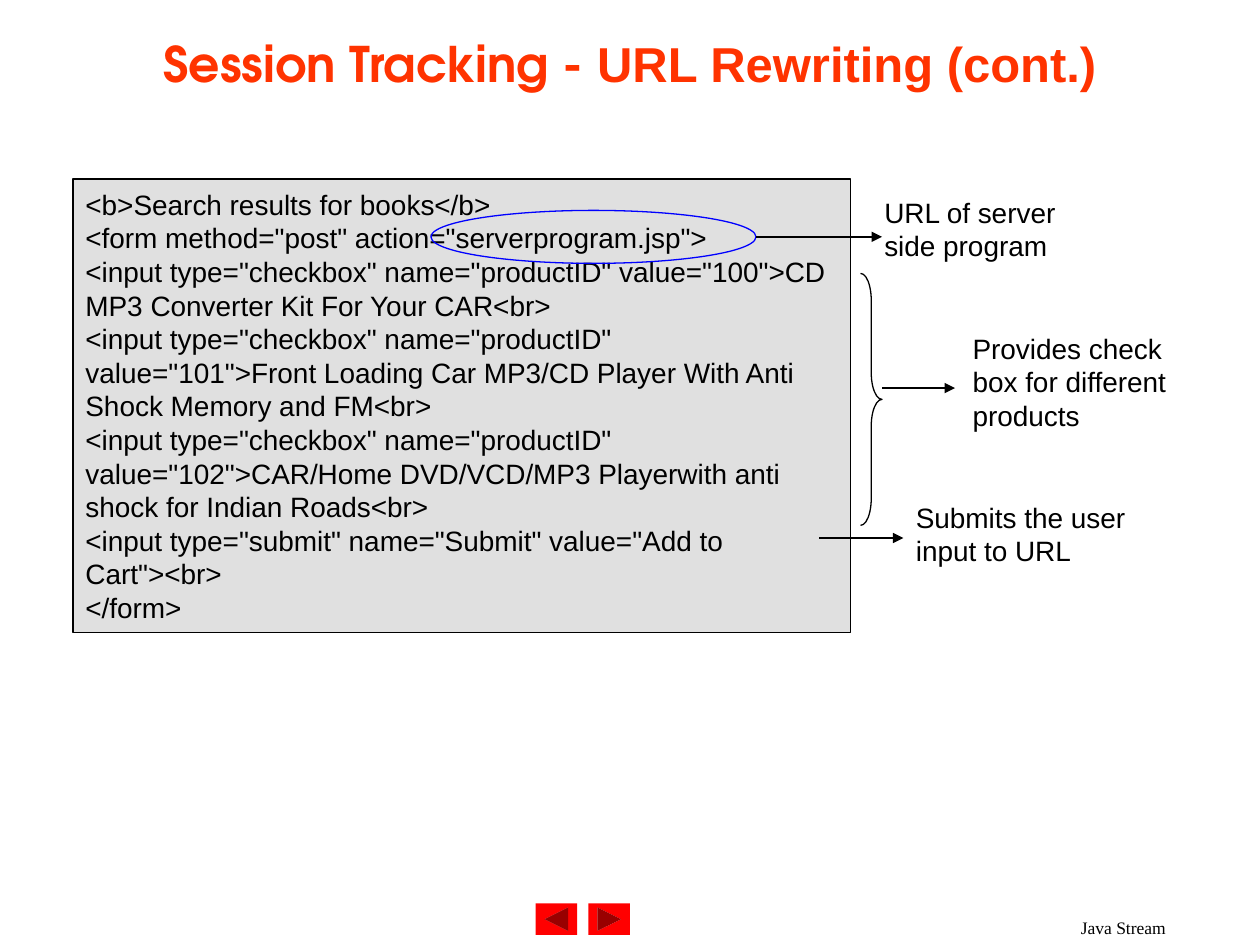
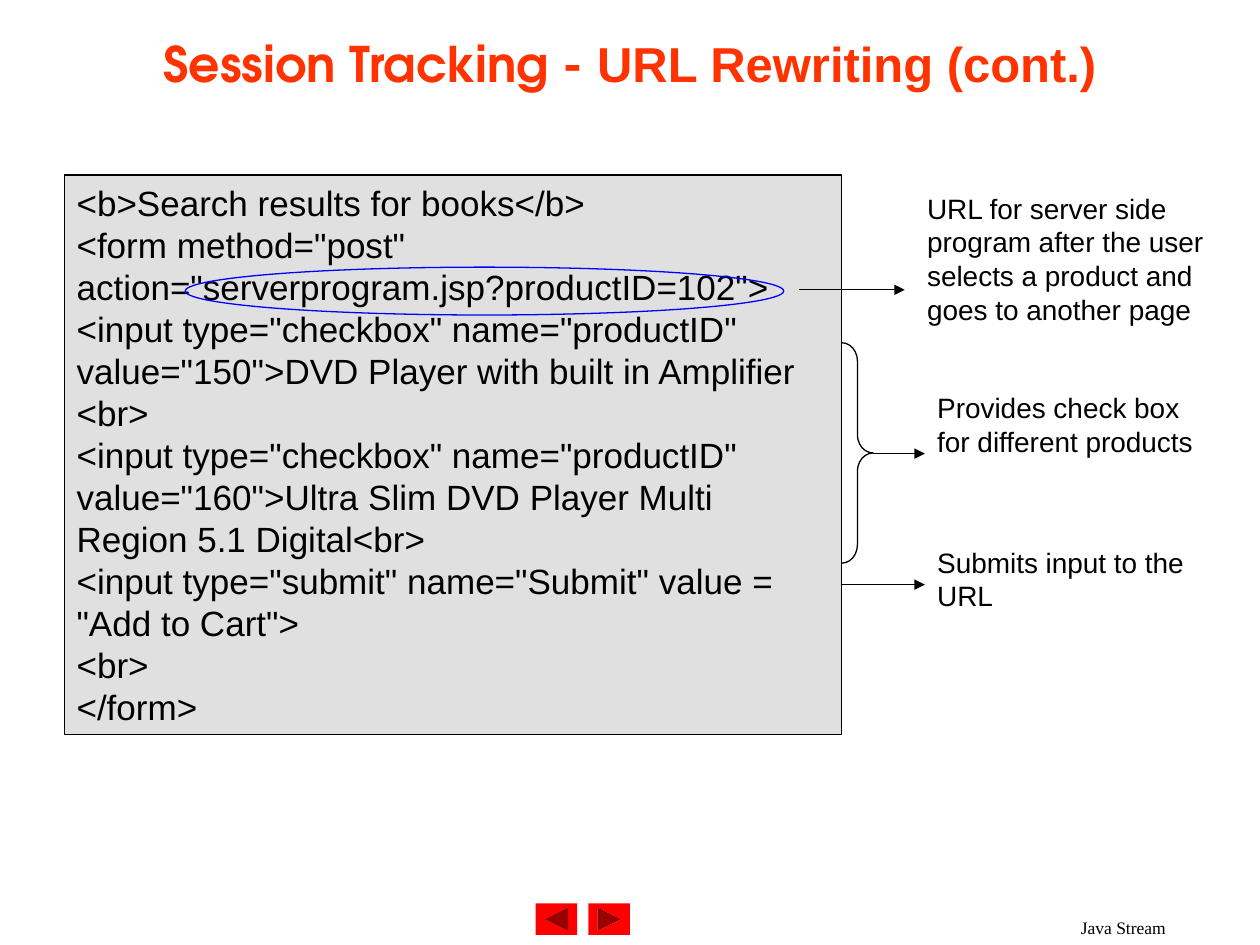
import pptx
import pptx.dml.color
import pptx.enum.shapes
import pptx.enum.text
import pptx.oxml
import pptx.oxml.ns
import pptx.util

Inches = pptx.util.Inches
SHAPES = pptx.enum.shapes.MSO_SHAPE
ALIGN = pptx.enum.text.PP_ALIGN
ANCHOR = pptx.enum.text.MSO_ANCHOR

BLACK, RED, BLUE, GREY, ORANGE = "000000", "FF0000", "0000FF", "E0E0E0", "FF3300"
LINE_WIDTH = 0.75

TITLE = [("Session Tracking - ", "TeX Gyre Adventor"), ("URL Rewriting (cont.)", "Arial")]
TITLE_BOX = (0.5, 0, 9, 1)
FOOTER = "Java Stream"
FOOTER_BOX = (7.83, 7.23, 2.17, 0.27)
BUTTON_LEFT, BUTTON_TOP, BUTTON_STEP = 4.25, 7.17, 0.42
BUTTON_SIZE = (0.33, 0.25)
BUTTON_ROTATIONS = (180, 0)

SLIDES = [
    {
        "code": [
            '<b>Search results for books</b>',
            '<form method="post" action="serverprogram.jsp">',
            '<input type="checkbox" name="productID" value="100">CD MP3 Converter Kit For Your CAR<br>',
            '<input type="checkbox" name="productID" value="101">'
            'Front Loading Car MP3/CD Player With Anti Shock Memory and FM<br>',
            '<input type="checkbox" name="productID" value="102">'
            'CAR/Home DVD/VCD/MP3 Playerwith anti shock for Indian Roads<br>',
            '<input type="submit" name="Submit" value="Add to Cart"><br>',
            '</form>',
        ],
        "code_size": 16,
        "code_box": (0.58, 1.42, 6.17, 3.6),
        "url_ellipse": (3.42, 1.67, 2.58, 0.42),
        "brace": (6.83, 2.17, 0.17, 2),
        "brace_curve": 1.25,
        "arrows": [(6, 7, 1.88), (7, 7.58, 3.08), (6.5, 7.17, 4.27)],  # from x, to x, y
        "notes": [
            ("URL of server side program", (6.92, 1.5, 2, 0.7)),
            ("Provides check box for different products", (7.62, 2.58, 2.08, 1)),
            ("Submits the user input to URL", (7.17, 3.92, 2.08, 0.7)),
        ],
    },
    {
        "code": [
            '<b>Search results for books</b>',
            '<form method="post" action="serverprogram.jsp?productID=102">',
            '<input type="checkbox" name="productID" value="150">DVD Player with built in Amplifier <br>',
            '<input type="checkbox" name="productID" value="160">'
            'Ultra Slim DVD Player Multi Region 5.1 Digital<br>',
            '<input type="submit" name="Submit" value = "Add to Cart">',
            '<br>',
            '</form>',
        ],
        "code_size": 20,
        "code_box": (0.51, 1.39, 6.17, 4.44),
        "url_ellipse": (1.47, 2.12, 4.75, 0.38),
        "brace": (6.68, 2.72, 0.25, 1.75),
        "brace_curve": 0.58,
        "arrows": [(6.34, 7.18, 2.3), (6.93, 7.34, 3.6), (6.68, 7.34, 4.64)],
        "notes": [
            ("URL for server side program after the user selects a product and goes to another page",
             (7.26, 1.47, 2.56, 1.6)),
            ("Provides check box for different products", (7.34, 3.05, 2.33, 1)),
            ("Submits input to the URL", (7.34, 4.28, 2.17, 0.7)),
        ],
    },
]


def color(hex_string):
    return pptx.dml.color.RGBColor.from_string(hex_string)


def set_line(line, line_color):
    line.color.rgb = color(line_color)
    line.width = pptx.util.Pt(LINE_WIDTH)


def add_shape(slide, preset, box, fill=None, line=None):
    shape = slide.shapes.add_shape(preset, *map(Inches, box))
    shape.shadow.inherit = False
    if fill:
        shape.fill.solid()
        shape.fill.fore_color.rgb = color(fill)
    else:
        shape.fill.background()
    if line:
        set_line(shape.line, line)
    else:
        shape.line.fill.background()
    return shape


def write(shape, paragraphs, size, text_color=BLACK, bold=False,
          align=ALIGN.LEFT, anchor=ANCHOR.TOP):
    """Fill a shape with paragraphs, each a list of (text, font name) runs."""
    frame = shape.text_frame
    frame.word_wrap = True
    frame.vertical_anchor = anchor
    font_format = {"size": pptx.util.Pt(size), "bold": bold}
    for index, runs in enumerate(paragraphs):
        paragraph = frame.add_paragraph() if index else frame.paragraphs[0]
        paragraph.alignment = align
        for text, font_name in runs:
            run = paragraph.add_run()
            run.text = text
            for name, value in {**font_format, "name": font_name}.items():
                setattr(run.font, name, value)
            run.font.color.rgb = color(text_color)


def add_text(slide, box, runs, size, **text_format):
    write(slide.shapes.add_textbox(*map(Inches, box)), [runs], size, **text_format)


def add_arrow(slide, start, end, y):
    arrow = slide.shapes.add_connector(
        pptx.enum.shapes.MSO_CONNECTOR.STRAIGHT, *map(Inches, (start, y, end, y)))
    set_line(arrow.line, BLACK)
    head = pptx.oxml.parse_xml(
        f'<a:tailEnd {pptx.oxml.ns.nsdecls("a")} type="triangle"/>')
    arrow.line._get_or_add_ln().append(head)
    no_shadow = pptx.oxml.parse_xml(f'<a:effectLst {pptx.oxml.ns.nsdecls("a")}/>')
    arrow._element.spPr.append(no_shadow)


def add_frame(slide):
    """Add the title, footer and navigation buttons that every slide has."""
    for index, rotation in enumerate(BUTTON_ROTATIONS):
        box = (BUTTON_LEFT + index * BUTTON_STEP, BUTTON_TOP, *BUTTON_SIZE)
        button = add_shape(slide, SHAPES.ACTION_BUTTON_FORWARD_OR_NEXT, box, fill=RED)
        button.rotation = rotation
    add_text(slide, FOOTER_BOX, [(FOOTER, "Times New Roman")], 10, align=ALIGN.CENTER)
    add_text(slide, TITLE_BOX, TITLE, 28, text_color=ORANGE, bold=True,
             align=ALIGN.CENTER, anchor=ANCHOR.MIDDLE)


def add_code_slide(presentation, content):
    slide = presentation.slides.add_slide(presentation.slide_layouts[6])
    add_frame(slide)
    code = add_shape(slide, SHAPES.RECTANGLE, content["code_box"], fill=GREY, line=BLACK)
    write(code, [[(line, "Arial")] for line in content["code"]],
          content["code_size"], anchor=ANCHOR.MIDDLE)
    add_shape(slide, SHAPES.OVAL, content["url_ellipse"], line=BLUE)
    brace = add_shape(slide, SHAPES.RIGHT_BRACE, content["brace"], line=BLACK)
    brace.adjustments[0] = content["brace_curve"]
    for arrow in content["arrows"]:
        add_arrow(slide, *arrow)
    for text, box in content["notes"]:
        add_text(slide, box, [(text, "Arial")], 16)


def main():
    presentation = pptx.Presentation()
    presentation.slide_width = Inches(10)
    presentation.slide_height = Inches(7.5)
    for content in SLIDES:
        add_code_slide(presentation, content)
    presentation.save("out.pptx")


if __name__ == "__main__":
    main()
